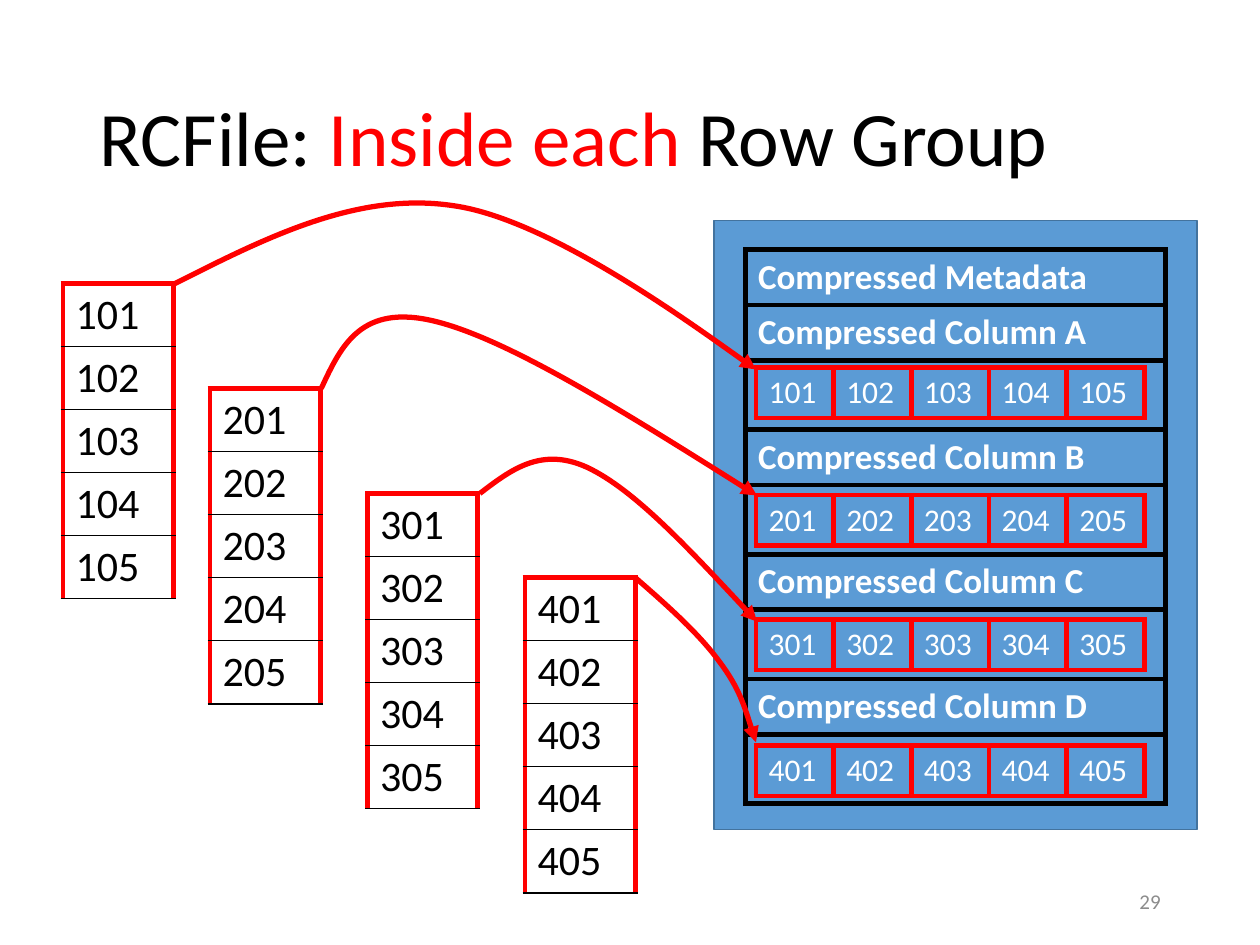
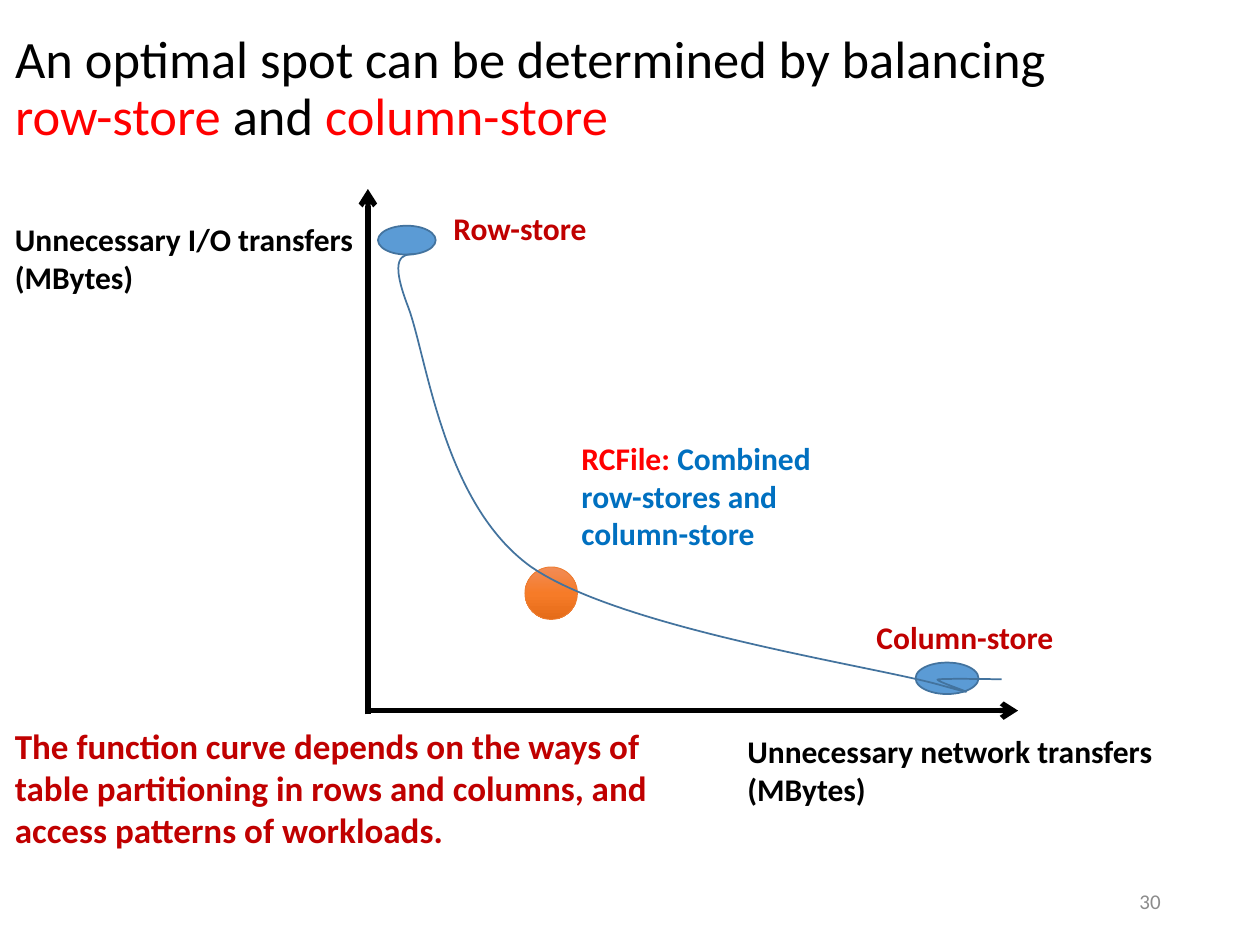
"""Build two slides on RCFile row groups and the balance of row-store and column-store."""
from copy import deepcopy
from typing import Any, NamedTuple, Optional

from lxml.etree import SubElement
from pptx import Presentation
from pptx.dml.color import RGBColor
from pptx.enum.shapes import MSO_CONNECTOR as Connector, MSO_SHAPE as Preset
from pptx.enum.text import MSO_ANCHOR as Anchor, MSO_AUTO_SIZE as AutoSize, PP_ALIGN as Align
from pptx.oxml.ns import qn
from pptx.util import Emu, Inches, Pt

SLIDE_WIDTH, SLIDE_HEIGHT = Inches(10), Inches(7.5)
GRID_COLUMNS = 120
UNIT = SLIDE_WIDTH / GRID_COLUMNS
TITLE_ONLY = 5
FONT = "Calibri"

BLACK = RGBColor(0x00, 0x00, 0x00)
WHITE = RGBColor(0xFF, 0xFF, 0xFF)
RED = RGBColor(0xFF, 0x00, 0x00)
DARK_RED = RGBColor(0xC0, 0x00, 0x00)
BLUE = RGBColor(0x5B, 0x9B, 0xD5)
BLUE_EDGE = RGBColor(0x43, 0x73, 0x9E)
TEXT_BLUE = RGBColor(0x00, 0x70, 0xC0)
GREY = RGBColor(0x8C, 0x8C, 0x8C)
ORANGE = RGBColor(0xED, 0x7D, 0x31)
ORANGE_STOPS = [RGBColor(0xF1, 0x8C, 0x57), RGBColor(0xF6, 0x7B, 0x28), RGBColor(0xE5, 0x6C, 0x19)]


class Area(NamedTuple):
    """A rectangle in grid columns and rows."""
    left: float
    top: float
    width: float
    height: float


class Span(NamedTuple):
    """A piece of text in one colour."""
    text: str
    color: RGBColor = BLACK


class Stroke(NamedTuple):
    """The colour and width in points of a line."""
    color: RGBColor
    width: float


class Label(NamedTuple):
    """A bold text box, one list of spans for each paragraph."""
    area: Area
    paragraphs: list[list[Span]]
    size: int = 18


class Oval(NamedTuple):
    """A point marked on the trade-off curve."""
    area: Area
    stroke: Stroke
    fill: Optional[RGBColor] = None


class StoredColumn(NamedTuple):
    """A table column, its compressed strip and the curve between them."""
    letter: str
    left: float
    top: float
    strip_top: float
    curve: list[tuple[float, float]]


THICK_RED, THICK_BLACK = Stroke(RED, 3), Stroke(BLACK, 3)
THIN_BLACK, THIN_BLUE = Stroke(BLACK, 1), Stroke(BLUE_EDGE, 1)
ROWS_PER_GROUP = 5

STORED_COLUMNS = [
    StoredColumn("A", 6, 27, 35, [
        (16.5, 27.1), (25.2, 22.7), (34, 18.2), (43.2, 19.6), (52.4, 20.9), (69.1, 33.2), (72, 35.2)]),
    StoredColumn("B", 20, 37, 47.16, [
        (30.6, 37), (32.5, 32.9), (34.4, 28.9), (41.4, 30.6), (48.4, 32.3), (60.2, 39.7), (72.1, 47.2)]),
    StoredColumn("C", 35, 47, 59, [
        (45.7, 47), (48.6, 44.8), (51.5, 42.5), (55.9, 44.5), (60.4, 46.6), (66.2, 52.9), (72.1, 59.2)]),
    StoredColumn("D", 50, 55, 71, [
        (60.6, 55.1), (63.6, 57.7), (66.6, 60.4), (68.5, 63), (70.4, 65.5), (71.2, 68.2), (72, 70.7)]),
]

TRADE_OFF_CURVE = [
    (39.5, 24.2), (38.3, 24.2), (37, 24.4), (38.9, 29.3), (40.7, 34.2), (42.2, 48), (50.6, 54),
    (59.2, 59.9), (82.9, 63.4), (89.4, 65.2), (95.8, 67), (88.3, 64.7), (89.4, 64.7),
    (90.4, 64.6), (95.4, 64.7), (95.4, 64.7)]
AXES = [((34.92, 67.68), (96.96, 67.68)), ((35.04, 68.04), (35.04, 18))]
OVALS = [
    Oval(Area(36, 21.5, 5.5, 2.75), THIN_BLUE, BLUE),
    Oval(Area(87.2, 63.1, 6, 3), THIN_BLUE, BLUE),
    Oval(Area(50, 54, 5, 5), Stroke(ORANGE, 0.5)),
]
LABELS = [
    Label(Area(0.24, 20.4, 35, 8.5), [[Span("Unnecessary I/O transfers")], [Span("(MBytes)")]]),
    Label(Area(70, 69.1, 42, 8.5), [[Span("Unnecessary network transfers")], [Span("(MBytes)")]]),
    Label(Area(42, 19.3, 16, 4.8), [[Span("Row-store", DARK_RED)]]),
    Label(Area(82.3, 58.3, 19.7, 4.8), [[Span("Column-store", DARK_RED)]]),
    Label(Area(54.2, 41.2, 24.4, 12.1), [
        [Span("RCFile: ", RED), Span("Combined row-stores and column-store", TEXT_BLUE)]]),
    Label(Area(0.24, 68.4, 69.4, 13.3), [[Span(
        "The function curve depends on the ways of table partitioning in rows and columns, "
        "and access patterns of workloads.", DARK_RED)]], 20),
]


def grid(value: float) -> Emu:
    """Turn grid units into a length."""
    return Emu(round(value * UNIT))


def frame(area: Area) -> list[Emu]:
    """Give left, top, width and height as lengths."""
    return [grid(value) for value in area]


def apply(target: Any, values: dict[str, Any]) -> None:
    """Set each named format value on an object."""
    for name, value in values.items():
        setattr(target, name, value)


def write(para: Any, spans: list[Span], size: float, bold: bool = False) -> None:
    """Add coloured spans to a paragraph, with a line break at each newline."""
    for piece in spans:
        for index, line in enumerate(piece.text.split("\n")):
            if index:
                para.add_line_break()
            if line:
                span = para.add_run()
                span.text = line
                apply(span.font, {"name": FONT, "size": Pt(size), "bold": bold})
                span.font.color.rgb = piece.color


def add_label(page: Any, label: Label) -> None:
    """Draw a bold label."""
    text = page.shapes.add_textbox(*frame(label.area)).text_frame
    text.word_wrap = True
    for index, spans in enumerate(label.paragraphs):
        para = text.add_paragraph() if index else text.paragraphs[0]
        write(para, spans, label.size, bold=True)


def add_page(deck: Any, area: Area, title: list[Span], size: float, number: int) -> Any:
    """Add a slide with its title and page number."""
    page = deck.slides.add_slide(deck.slide_layouts[TITLE_ONLY])
    heading = page.shapes.title
    apply(heading, dict(zip(("left", "top", "width", "height"), frame(area))))
    apply(heading.text_frame, {
        "vertical_anchor": Anchor.MIDDLE, "auto_size": AutoSize.NONE, "word_wrap": True})
    para = heading.text_frame.paragraphs[0]
    apply(para, {"alignment": Align.LEFT, "line_spacing": 0.9})
    write(para, title, size)
    footer = page.shapes.add_textbox(*frame(Area(84.72, 83.4, 27, 4.8))).text_frame
    apply(footer, {"vertical_anchor": Anchor.MIDDLE, "word_wrap": True})
    footer.paragraphs[0].alignment = Align.RIGHT
    write(footer.paragraphs[0], [Span(str(number), GREY)], 12)
    return page


def draw_line(shape: Any, stroke: Stroke, arrow: Optional[str] = None) -> None:
    """Set the line of a shape and an arrowhead at its end."""
    shape.line.color.rgb = stroke.color
    shape.line.width = Pt(stroke.width)
    if arrow:
        SubElement(shape._element.spPr.find(qn("a:ln")), qn("a:tailEnd"), type=arrow)


def add_preset(page: Any, kind: Any, area: Area, stroke: Stroke) -> Any:
    """Draw a preset shape with an outline."""
    shape = page.shapes.add_shape(kind, *frame(area))
    shape.shadow.inherit = False
    draw_line(shape, stroke)
    return shape


def fill_solid(shape: Any, color: RGBColor) -> None:
    """Fill a shape with one colour."""
    shape.fill.solid()
    shape.fill.fore_color.rgb = color


def fill_orange(shape: Any) -> None:
    """Fill a shape with the orange gradient from top to bottom."""
    shape.fill.gradient()
    shape.fill.gradient_angle = 270
    first = shape._element.spPr.find(".//" + qn("a:gs"))
    middle = deepcopy(first)
    middle.set("pos", "50000")
    first.addnext(middle)
    for stop, color in zip(shape.fill.gradient_stops, ORANGE_STOPS):
        stop.color.rgb = color


def add_curve(page: Any, points: list[tuple[float, float]], stroke: Stroke,
              arrow: Optional[str] = None) -> None:
    """Draw a Bezier curve from a start point and triples of control points."""
    start, *controls = [(grid(x), grid(y)) for x, y in points]
    builder = page.shapes.build_freeform(*start)
    builder.add_line_segments(controls, close=False)
    curve = builder.convert_to_shape()
    segments = list(curve._element.iter(qn("a:lnTo")))
    for index in range(0, len(segments), 3):
        bezier = SubElement(segments[index].getparent(), qn("a:cubicBezTo"))
        for segment in segments[index:index + 3]:
            bezier.append(segment[0])
            segment.getparent().remove(segment)
    curve.shadow.inherit = False
    curve.fill.background()
    draw_line(curve, stroke, arrow)


def add_axis(page: Any, start: tuple[float, float], end: tuple[float, float]) -> None:
    """Draw an axis with an arrow at its end."""
    ends = [grid(value) for value in start + end]
    axis = page.shapes.add_connector(Connector.STRAIGHT, *ends)
    draw_line(axis, THICK_BLACK, "arrow")
    SubElement(axis._element.spPr, qn("a:effectLst"))


def set_borders(cell: Any, borders: dict[str, Stroke]) -> None:
    """Give a cell a border on each named side."""
    properties = cell._tc.get_or_add_tcPr()
    for side in "LRTB":
        stroke = borders[side]
        border = SubElement(properties, qn(f"a:ln{side}"), w=str(Pt(stroke.width)))
        SubElement(SubElement(border, qn("a:solidFill")), qn("a:srgbClr"), val=str(stroke.color))


def add_grid_table(page: Any, left: float, top: float, width: float, heights: list[float],
                   texts: list[list[str]], size: float, color: RGBColor, stroke: Stroke,
                   inner: Optional[Stroke] = None, bold: bool = False) -> None:
    """Draw an unfilled table; inner is the line below each row."""
    area = Area(left, top, width, sum(heights))
    table = page.shapes.add_table(len(texts), len(texts[0]), *frame(area)).table
    apply(table, {"first_row": False, "horz_banding": False})
    for column in table.columns:
        column.width = grid(width / len(texts[0]))
    below = inner or stroke
    for index, (row, height) in enumerate(zip(texts, heights)):
        table.rows[index].height = grid(height)
        above = below if index else stroke
        for cell, text in zip(table.rows[index].cells, row):
            set_borders(cell, {"L": stroke, "R": stroke, "T": above, "B": below})
            cell.fill.background()
            write(cell.text_frame.paragraphs[0], [Span(text, color)], size, bold)


def build_row_group(deck: Any) -> None:
    """Show how table columns are stored inside a row group."""
    title = [Span("RCFile: "), Span("Inside each", RED), Span(" Row Group")]
    page = add_page(deck, Area(8.28, 4.8, 103.44, 17.4), title, 44, 29)
    fill_solid(add_preset(page, Preset.RECTANGLE, Area(68, 21, 46, 58), THIN_BLUE), BLUE)
    sections, heights = [["Compressed Metadata"]], [5.28]
    for stored in STORED_COLUMNS:
        sections += [[f"Compressed Column {stored.letter}"], [""]]
        heights += [5.28, 6.6]
    add_grid_table(page, 71, 23.76, 40, heights, sections, 20, WHITE, THICK_BLACK, bold=True)
    for index, stored in enumerate(STORED_COLUMNS, 1):
        values = [str(100 * index + row) for row in range(1, ROWS_PER_GROUP + 1)]
        add_grid_table(page, stored.left, stored.top, 10.5, [6] * ROWS_PER_GROUP,
                       [[value] for value in values], 24, BLACK, THICK_RED, THIN_BLACK)
        add_grid_table(page, 72, stored.strip_top, 37, [4.8], [values], 18, WHITE, THICK_RED)
    for stored in STORED_COLUMNS:
        add_curve(page, stored.curve, THICK_RED, "triangle")


def build_trade_off(deck: Any) -> None:
    """Show the balance between row-store and column-store."""
    title = [Span("An optimal spot can be determined by balancing\n"), Span("row-store", RED),
             Span(" and "), Span("column-store", RED)]
    page = add_page(deck, Area(0.24, -4.8, 120, 26.76), title, 30, 30)
    for start, end in AXES:
        add_axis(page, start, end)
    for oval in OVALS:
        shape = add_preset(page, Preset.OVAL, oval.area, oval.stroke)
        if oval.fill is None:
            fill_orange(shape)
        else:
            fill_solid(shape, oval.fill)
    add_curve(page, TRADE_OFF_CURVE, THIN_BLUE)
    for label in LABELS:
        add_label(page, label)


def main() -> None:
    """Build and save the deck."""
    deck = Presentation()
    apply(deck, {"slide_width": SLIDE_WIDTH, "slide_height": SLIDE_HEIGHT})
    build_row_group(deck)
    build_trade_off(deck)
    deck.save("out.pptx")


if __name__ == "__main__":
    main()
